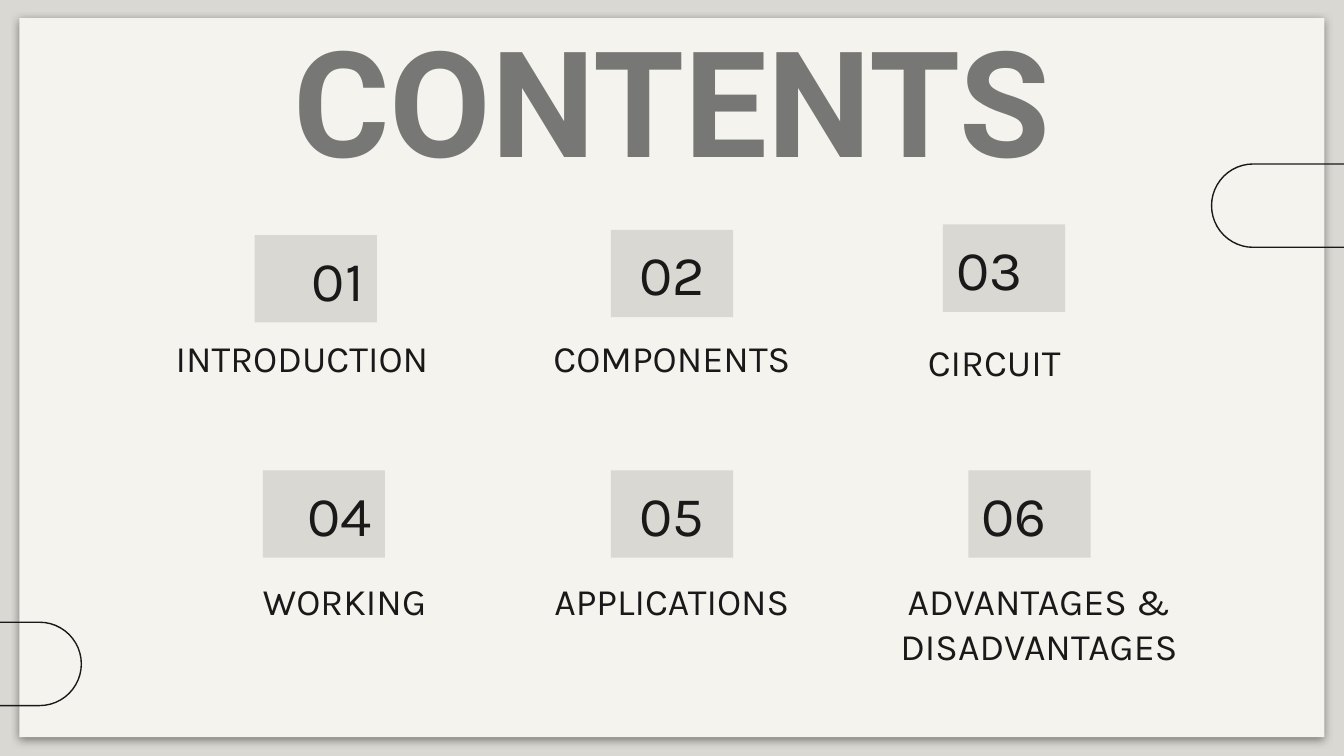
from dataclasses import dataclass

from lxml import etree
from pptx import Presentation
from pptx.dml.color import RGBColor
from pptx.enum.shapes import MSO_SHAPE
from pptx.enum.text import MSO_ANCHOR, PP_ALIGN
from pptx.oxml.ns import qn
from pptx.shapes.autoshape import Shape
from pptx.slide import Slide
from pptx.util import Emu, Pt

RECTANGLE = MSO_SHAPE.RECTANGLE
PILL = MSO_SHAPE.ROUNDED_RECTANGLE
TOP, MIDDLE = MSO_ANCHOR.TOP, MSO_ANCHOR.MIDDLE
LEFT, CENTER, RIGHT = PP_ALIGN.LEFT, PP_ALIGN.CENTER, PP_ALIGN.RIGHT

EMU_PER_PX = 4572  # 200 px to the inch
SLIDE_W, SLIDE_H = 2000, 1125
INSET = 20
BADGE_W, BADGE_H = 182, 130
LABEL_H = 162
PILL_W, PILL_H = 608, 124

INK, STONE, PAPER, HEADING = "191919", "D9D8D2", "F5F3EE", "777775"


@dataclass(frozen=True)
class Box:
    left: int
    top: int
    width: int
    height: int

    def emu(self) -> list[Emu]:
        return [px(v) for v in (self.left, self.top, self.width, self.height)]


@dataclass(frozen=True)
class Topic:
    label: str
    badge_left: int
    badge_top: int
    badge_align: PP_ALIGN
    label_left: int
    label_top: int
    label_width: int
    label_align: PP_ALIGN


TOPICS = [
    Topic("INTRODUCTION ", 379, 350, RIGHT, 204, 479, 504, CENTER),
    Topic("COMPONENTS", 909, 342, CENTER, 737, 479, 526, CENTER),
    Topic("CIRCUIT", 1403, 334, LEFT, 1361, 484, 526, LEFT),
    Topic("WORKING", 391, 700, RIGHT, 128, 840, 526, RIGHT),
    Topic("APPLICATIONS", 909, 700, CENTER, 737, 840, 526, CENTER),
    Topic("ADVANTAGES & DISADVANTAGES", 1441, 700, LEFT, 1275, 840, 542, CENTER),
]


def px(value: int) -> Emu:
    return Emu(value * EMU_PER_PX)


def color(value: str) -> RGBColor:
    return RGBColor.from_string(value)


def write(shape: Shape, text: str, *, size: int, font: str = "Karla",
          ink: str = INK, bold: bool = False, align: PP_ALIGN = CENTER,
          anchor: MSO_ANCHOR = TOP, spacing: float = 1.0) -> None:
    frame = shape.text_frame
    frame.word_wrap = True
    frame.vertical_anchor = anchor
    frame.margin_left = frame.margin_right = px(INSET)
    frame.margin_top = frame.margin_bottom = px(INSET)
    paragraph = frame.paragraphs[0]
    paragraph.alignment = align
    paragraph.line_spacing = spacing
    run = paragraph.add_run()
    run.text = text
    run.font.name = font
    run.font.size = Pt(size)
    run.font.bold = bold
    run.font.color.rgb = color(ink)


def add_panel(slide: Slide, box: Box, fill: str) -> Shape:
    panel = slide.shapes.add_shape(RECTANGLE, *box.emu())
    panel.shadow.inherit = False
    panel.fill.solid()
    panel.fill.fore_color.rgb = color(fill)
    panel.line.fill.background()
    return panel


def add_soft_shadow(shape: Shape) -> None:
    effects = shape.element.spPr.find(qn("a:effectLst"))
    shadow = etree.SubElement(effects, qn("a:outerShdw"), blurRad=str(Pt(4.5)),
                              dist=str(Pt(1.5)), dir="5400000", algn="bl",
                              rotWithShape="0")
    tint = etree.SubElement(shadow, qn("a:srgbClr"), val=INK)
    etree.SubElement(tint, qn("a:alpha"), val="50000")


def add_pill(slide: Slide, left: int, top: int) -> None:
    pill = slide.shapes.add_shape(PILL, *Box(left, top, PILL_W, PILL_H).emu())
    pill.shadow.inherit = False
    pill.adjustments[0] = 0.5
    pill.fill.background()
    pill.line.color.rgb = color(INK)
    pill.line.width = Pt(0.75)


def add_topic(slide: Slide, number: int, topic: Topic) -> None:
    badge = add_panel(
        slide, Box(topic.badge_left, topic.badge_top, BADGE_W, BADGE_H), STONE)
    write(badge, f"{number:02d}", size=30, align=topic.badge_align, anchor=MIDDLE)
    label_box = Box(topic.label_left, topic.label_top, topic.label_width, LABEL_H)
    label = slide.shapes.add_textbox(*label_box.emu())
    write(label, topic.label, size=20, align=topic.label_align)


def main() -> None:
    deck = Presentation()
    deck.slide_width, deck.slide_height = px(SLIDE_W), px(SLIDE_H)
    slide = deck.slides.add_slide(deck.slide_layouts[6])

    # Background, paper sheet and edge pills
    slide.background.fill.solid()
    slide.background.fill.fore_color.rgb = color(STONE)
    sheet = add_panel(slide, Box(29, 27, 1942, 1070), PAPER)
    add_soft_shadow(sheet)
    add_pill(slide, -487, 926)
    add_pill(slide, 1803, 244)

    # Heading
    heading = slide.shapes.add_textbox(*Box(157, 46, 1686, 194).emu())
    write(heading, "CONTENTS", size=79, font="Roboto", ink=HEADING, bold=True,
          spacing=0.8)

    # Numbered topics
    for number, topic in enumerate(TOPICS, start=1):
        add_topic(slide, number, topic)

    deck.save("out.pptx")


if __name__ == "__main__":
    main()
